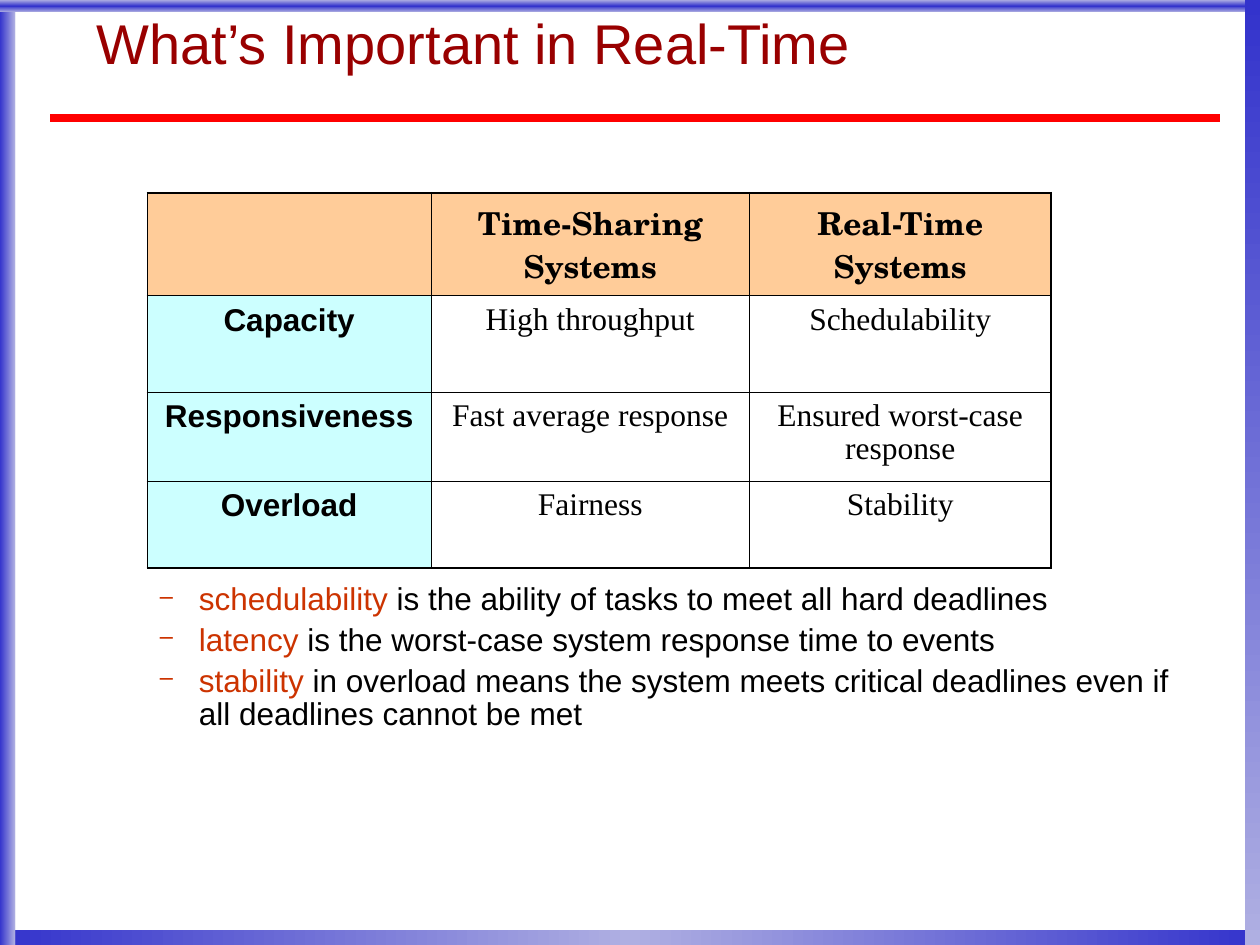
from dataclasses import dataclass

from lxml.etree import SubElement
from pptx import Presentation
from pptx.dml.color import RGBColor
from pptx.enum.shapes import MSO_CONNECTOR, MSO_SHAPE
from pptx.enum.text import MSO_ANCHOR, PP_ALIGN
from pptx.oxml import parse_xml
from pptx.oxml.ns import nsdecls, qn
from pptx.util import Inches, Pt

WIDE, HIGH = Inches(10), Inches(7.5)


@dataclass(frozen=True)
class Theme:
    """Colours, fonts and type sizes of the slide."""
    blue: str = "3333CC"
    pale: str = "AFAFE2"
    rule: str = "FF0000"
    title: str = "990000"
    shade: str = "B2B2B2"
    term: str = "CC3300"
    ink: str = "000000"
    head: str = "FFCC99"
    side: str = "CCFFFF"
    sans: str = "Arial"
    serif: str = "Times New Roman"
    school: str = "TeX Gyre Schola"
    large: int = 32
    text: int = 18


THEME = Theme()


def share(x, y, w, h):
    """Turn percentages of the slide into a left, top, width and height."""
    return [int(side * part / 100) for side, part in zip((WIDE, HIGH) * 2, (x, y, w, h))]


def add_run(para, text, color, font=THEME.sans, size=THEME.text, bold=False):
    """Add one styled run to a paragraph."""
    run = para.add_run()
    run.text = text
    run.font.name, run.font.size, run.font.bold = font, Pt(size), bold
    run.font.color.rgb = RGBColor.from_string(color)
    return run


def add_box(slide, area, anchor=MSO_ANCHOR.TOP):
    """Add a wrapping text box and return its frame."""
    frame = slide.shapes.add_textbox(*share(*area)).text_frame
    frame.word_wrap, frame.vertical_anchor = True, anchor
    return frame


def add_bar(slide, area, colors, angle):
    """Add a frame bar with evenly spaced gradient stops."""
    bar = slide.shapes.add_shape(MSO_SHAPE.RECTANGLE, *share(*area))
    bar.shadow.inherit = False
    bar.line.fill.background()
    step = 100000 // (len(colors) - 1)
    stops = "".join(
        f'<a:gs pos="{i * step}"><a:srgbClr val="{color}"/></a:gs>'
        for i, color in enumerate(colors)
    )
    grad = parse_xml(
        f'<a:gradFill {nsdecls("a")} rotWithShape="1"><a:gsLst>{stops}</a:gsLst>'
        f'<a:lin ang="{angle * 60000}" scaled="0"/></a:gradFill>'
    )
    bar._element.spPr.find(qn("a:prstGeom")).addnext(grad)


def add_frame(slide):
    """Add the four edge bars and the red rule."""
    blue, pale = THEME.blue, THEME.pale
    add_bar(slide, (0, 98.4, 100, 1.6), (blue, pale, blue), 0)
    add_bar(slide, (0, 0, 1.2, 100), (blue, pale), 0)
    add_bar(slide, (0, 0, 100, 1.3), (pale, blue, pale), 90)
    add_bar(slide, (98.8, 0, 1.2, 100), (blue, pale), 90)
    x, y, w, h = share(4, 12.5, 92.8, 0)
    line = slide.shapes.add_connector(MSO_CONNECTOR.STRAIGHT, x, y, x + w, y + h)
    line.line.color.rgb = RGBColor.from_string(THEME.rule)
    line.line.width = Pt(4.5)
    SubElement(line._element.spPr, qn("a:effectLst"))


def add_title(slide, text):
    """Add the title with its soft text shadow."""
    para = add_box(slide, (6.7, 1.07, 87.5, 7.73), MSO_ANCHOR.MIDDLE).paragraphs[0]
    para.line_spacing = 0.87
    run = add_run(para, text, THEME.title, size=THEME.large)
    shadow = parse_xml(
        f'<a:effectLst {nsdecls("a")}><a:outerShdw dist="38100" dir="2700000">'
        f'<a:srgbClr val="{THEME.shade}"/></a:outerShdw></a:effectLst>'
    )
    run.font._element.find(qn("a:solidFill")).addnext(shadow)


def add_edges(cell, outer):
    """Draw four cell borders, heavier on the outer edges."""
    props = cell._tc.get_or_add_tcPr()
    for side in "LRTB":
        width = Pt(1.08 if side in outer else 0.45)
        props.append(parse_xml(
            f'<a:ln{side} {nsdecls("a")} w="{width}"><a:solidFill>'
            f'<a:srgbClr val="{THEME.ink}"/></a:solidFill></a:ln{side}>'
        ))


def fill_cell(cell, text, font, fill, space):
    """Set the fill, text and spacing of one cell."""
    if fill:
        cell.fill.solid()
        cell.fill.fore_color.rgb = RGBColor.from_string(fill)
    else:
        cell.fill.background()
    cell.margin_top = Inches(0.07)
    para = cell.text_frame.paragraphs[0]
    para.alignment = PP_ALIGN.CENTER
    para.line_spacing, para.space_before = space, Pt(4.5)
    if text:
        add_run(para, text, THEME.ink, font, bold=bool(fill))


def add_grid(slide, rows, widths, heights):
    """Add the comparison table."""
    area = share(11.7, 20.4, sum(widths), sum(heights))
    table = slide.shapes.add_table(len(rows), len(widths), *area).table
    table.first_row = table.horz_banding = False
    for col, width in zip(table.columns, widths):
        col.width = int(WIDE * width / 100)
    for row, height in zip(table.rows, heights):
        row.height = int(HIGH * height / 100)
    for r, row in enumerate(rows):
        for c, text in enumerate(row):
            cell = table.cell(r, c)
            ends = {"T": r == 0, "B": r == len(rows) - 1, "L": c == 0, "R": c == len(row) - 1}
            add_edges(cell, [side for side, end in ends.items() if end])
            if r == 0:
                fill_cell(cell, text, THEME.school, THEME.head, 0.88)
            elif c == 0:
                fill_cell(cell, text, THEME.sans, THEME.side, 0.94)
            else:
                fill_cell(cell, text, THEME.serif, None, 0.93)


def add_notes(slide, notes):
    """Add the dashed list of defined terms."""
    frame = add_box(slide, (6.7, 61.2, 87.5, 17))
    for i, (term, rest) in enumerate(notes):
        para = frame.add_paragraph() if i else frame.paragraphs[0]
        para.line_spacing, para.space_before = 0.87, Pt(4.5)
        props = para._p.get_or_add_pPr()
        props.set("marL", str(Inches(0.81)))
        props.set("indent", str(Inches(-0.31)))
        SubElement(SubElement(props, qn("a:buClr")), qn("a:srgbClr"), val=THEME.term)
        SubElement(props, qn("a:buSzPct"), val="75000")
        SubElement(props, qn("a:buChar"), char="–")
        add_run(para, term, THEME.term)
        add_run(para, rest, THEME.ink)


def main():
    """Build and save the slide."""
    deck = Presentation()
    deck.slide_width, deck.slide_height = WIDE, HIGH
    slide = deck.slides.add_slide(deck.slide_layouts[6])
    add_frame(slide)
    add_title(slide, "What’s Important in Real-Time")
    add_grid(slide, [
        ("", "Time-Sharing Systems", "Real-Time Systems"),
        ("Capacity", "High throughput", "Schedulability"),
        ("Responsiveness", "Fast average response", "Ensured worst-case response"),
        ("Overload", "Fairness", "Stability"),
    ], (22.5, 25.3, 23.9), (10.9, 10.2, 9.4, 9.2))
    add_notes(slide, [
        ("schedulability", " is the ability of tasks to meet all hard deadlines"),
        ("latency", " is the worst-case system response time to events"),
        ("stability", " in overload means the system meets critical deadlines"
                      " even if all deadlines cannot be met"),
    ])
    deck.save("out.pptx")


if __name__ == "__main__":
    main()
